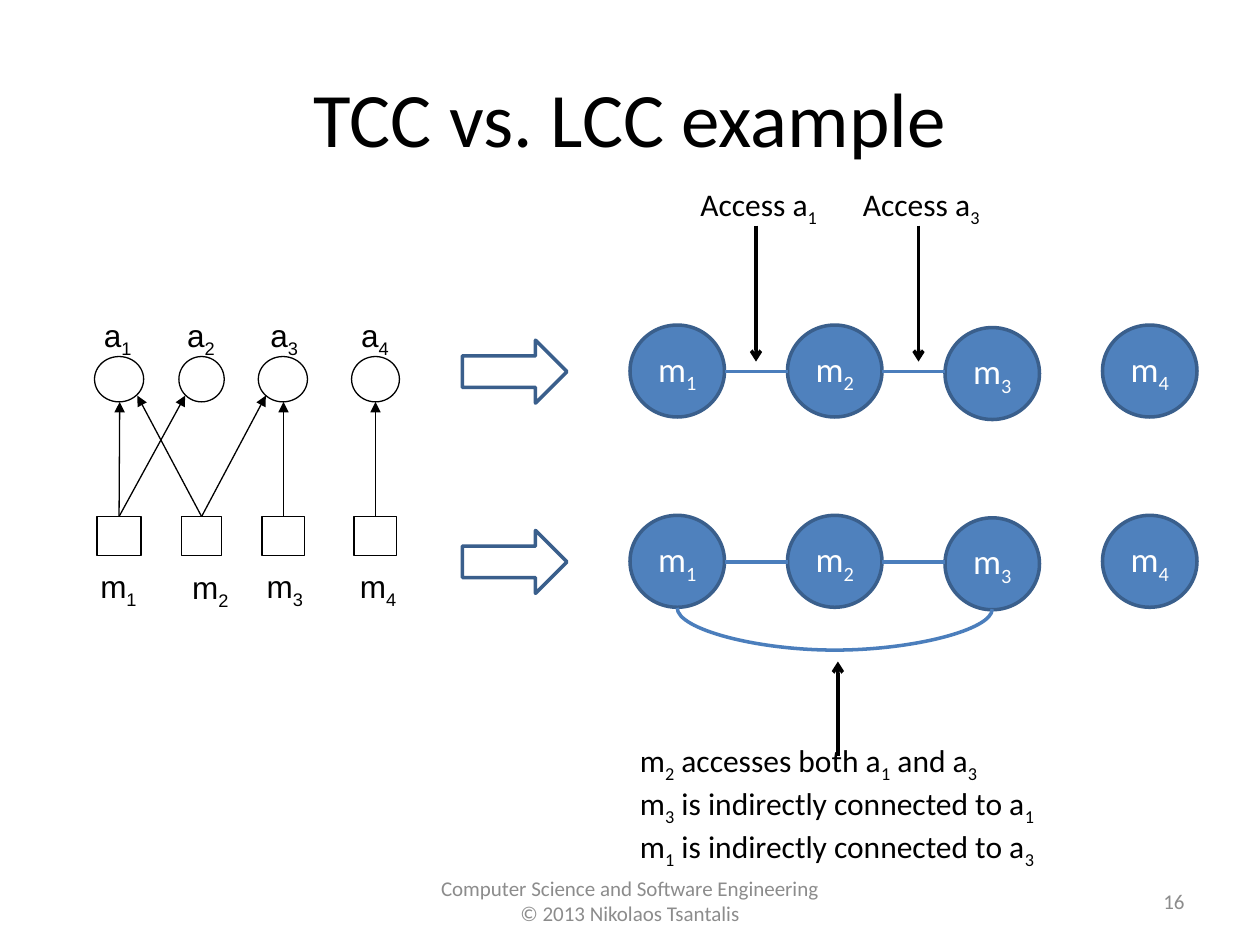
from lxml.etree import SubElement
from pptx import Presentation
from pptx.dml.color import RGBColor
from pptx.enum.shapes import MSO_CONNECTOR as LINK, MSO_SHAPE as SHAPE
from pptx.enum.text import MSO_ANCHOR as ANCHOR, PP_ALIGN as ALIGN
from pptx.oxml.ns import qn
from pptx.util import Inches, Pt

BLACK, WHITE, GRAY = "000000", "FFFFFF", "8C8C8C"
BLUE, EDGE, LINE = "4F81BD", "3A5F8C", "4B7EBC"

# Access diagram: (left, width) of squares and circles, left of labels
SQUARES = [(0.77, 0.35), (1.44, 0.32), (2.08, 0.34), (2.81, 0.34)]
CIRCLES = [(0.75, 0.39), (1.42, 0.36), (2.05, 0.39), (2.79, 0.38)]
METHOD_LABELS = [(0.78, 4.5), (1.51, 4.51), (2.1, 4.5), (2.84, 4.5)]
ATTRIBUTE_LABELS = [0.81, 1.47, 2.13, 2.85]
# Method number and the point on the attribute circle that its arrow meets
ACCESSES = [(0, 0.95, 3.19), (0, 1.47, 3.14), (1, 1.09, 3.14),
            (1, 2.11, 3.14), (2, 2.25, 3.19), (3, 2.98, 3.19)]

# Connection graphs: one column for each method
GRAPH_LEFT, COLUMN, NODE_W, NODE_H = 5, 1.25, 0.75, 0.73
GRAPH_TOPS = (2.58, 4.09)


def color(value):
    return RGBColor.from_string(value)


def write(frame, lines, size, ink=BLACK, font="Calibri", align=ALIGN.LEFT,
          **frame_format):
    """Fill a text frame; the character after each "_" is a subscript."""
    for name, value in frame_format.items():
        setattr(frame, name, value)
    for number, line in enumerate(lines):
        para = frame.add_paragraph() if number else frame.paragraphs[0]
        para.alignment = align
        first, *rest = line.split("_")
        pieces = [(first, False)]
        for part in rest:
            pieces += [(part[0], True), (part[1:], False)]
        for text, lowered in pieces:
            if not text:
                continue
            span = para.add_run()
            span.text = text
            for name, value in {"name": font, "size": Pt(size)}.items():
                setattr(span.font, name, value)
            span.font.color.rgb = color(ink)
            if lowered:
                span._r.get_or_add_rPr().set("baseline", "-25000")


def add_text(page, place, lines, size, **style):
    box = page.shapes.add_textbox(*map(Inches, place))
    write(box.text_frame, lines, size, **style)


def add_figure(page, kind, place, fill, edge, width):
    figure = page.shapes.add_shape(kind, *map(Inches, place))
    figure.shadow.inherit = False
    if fill:
        figure.fill.solid()
        figure.fill.fore_color.rgb = color(fill)
    else:
        figure.fill.background()
    figure.line.color.rgb = color(edge)
    figure.line.width = Pt(width)
    return figure


def add_link(page, start, end, ink, width, head=None, kind=LINK.STRAIGHT):
    link = page.shapes.add_connector(kind, *map(Inches, (*start, *end)))
    link.line.color.rgb = color(ink)
    link.line.width = Pt(width)
    if head:
        SubElement(link.line._get_or_add_ln(), qn("a:tailEnd"), type=head)
    SubElement(link._element.spPr, qn("a:effectLst"))
    return link


def add_access_diagram(page):
    tight = {"margin_left": Inches(0.01), "margin_right": Inches(0.01),
             "margin_top": 0, "margin_bottom": Inches(0.02),
             "word_wrap": False, "font": "Arial", "align": ALIGN.CENTER}
    squares = [add_figure(page, SHAPE.RECTANGLE, (left, 4.1, width, 0.31),
                          WHITE, BLACK, 0.75) for left, width in SQUARES]
    for left, width in CIRCLES:
        add_figure(page, SHAPE.OVAL, (left, 2.83, width, 0.36),
                   WHITE, BLACK, 0.75)
    for method, x, y in ACCESSES:
        arrow = add_link(page, (x, 4.1), (x, y), BLACK, 0.75, "triangle")
        arrow.begin_connect(squares[method], 0)
    for number, left in enumerate(ATTRIBUTE_LABELS, 1):
        add_text(page, (left, 2.51, 0.25, 0.32), [f"a_{number}"], 18, **tight)
    for number, (left, top) in enumerate(METHOD_LABELS, 1):
        add_text(page, (left, top, 0.32, 0.32), [f"m_{number}"], 18, **tight)


def add_graph(page, top):
    add_figure(page, SHAPE.RIGHT_ARROW, (3.67, top + 0.12, 0.83, 0.5),
               None, EDGE, 2)
    for column in range(4):
        left = GRAPH_LEFT + column * COLUMN
        drop = 0.02 if column == 2 else 0
        node = add_figure(page, SHAPE.OVAL, (left, top + drop, NODE_W, NODE_H),
                          BLUE, EDGE, 2)
        write(node.text_frame, [f"m_{column + 1}"], 20, ink=WHITE,
              align=ALIGN.CENTER, vertical_anchor=ANCHOR.MIDDLE,
              word_wrap=True)
    for column in range(2):
        left = GRAPH_LEFT + column * COLUMN + NODE_W
        middle = top + 0.37
        add_link(page, (left, middle), (left + COLUMN - NODE_W, middle),
                 LINE, 2)


def add_indirect_link(page):
    """Curve below the nodes: a thin upright connector on its side."""
    curve = add_link(page, (6.62, 3.58), (6.63, 6.08), LINE, 2,
                     kind=LINK.CURVE)
    frame = curve._element.spPr.find(qn("a:xfrm"))
    frame.set("rot", str(270 * 60000))
    frame.set("flipH", "1")
    guides = curve._element.spPr.find(qn("a:prstGeom")).find(qn("a:avLst"))
    SubElement(guides, qn("a:gd"), name="adj1", fmla="val 3400000")


def main():
    deck = Presentation()
    deck.slide_width, deck.slide_height = Inches(10), Inches(7.5)
    page = deck.slides.add_slide(deck.slide_layouts[5])

    # Title
    title = page.shapes.title
    title.left, title.top, title.width, title.height = map(
        Inches, (0.5, 0.3, 9, 1.25))
    write(title.text_frame, ["TCC vs. LCC example"], 44, align=ALIGN.CENTER,
          vertical_anchor=ANCHOR.MIDDLE)

    # Diagrams
    add_access_diagram(page)
    for top in GRAPH_TOPS:
        add_graph(page, top)
    add_indirect_link(page)

    # Remarks with their arrows
    for x, number in ((6, 1), (7.29, 3)):
        add_link(page, (x, 1.79), (x, 2.87), BLACK, 2, "arrow")
        add_text(page, (x - 0.54, 1.42, 1.15, 0.4), [f"Access a_{number}"],
                 18, word_wrap=False)
    add_link(page, (6.65, 6), (6.65, 5.25), BLACK, 2, "arrow")
    add_text(page, (4.98, 5.83, 3.39, 1.01),
             ["m_2 accesses both a_1 and a_3",
              "m_3 is indirectly connected to a_1",
              "m_1 is indirectly connected to a_3"], 18, word_wrap=False)

    # Footer
    small = {"ink": GRAY, "vertical_anchor": ANCHOR.MIDDLE, "word_wrap": True}
    add_text(page, (0, 6.95, 10, 0.4),
             ["Computer Science and Software Engineering",
              "© 2013 Nikolaos Tsantalis"], 12, align=ALIGN.CENTER, **small)
    add_text(page, (7.17, 6.95, 2.33, 0.4), ["16"], 12, align=ALIGN.RIGHT,
             **small)
    deck.save("out.pptx")


if __name__ == "__main__":
    main()
